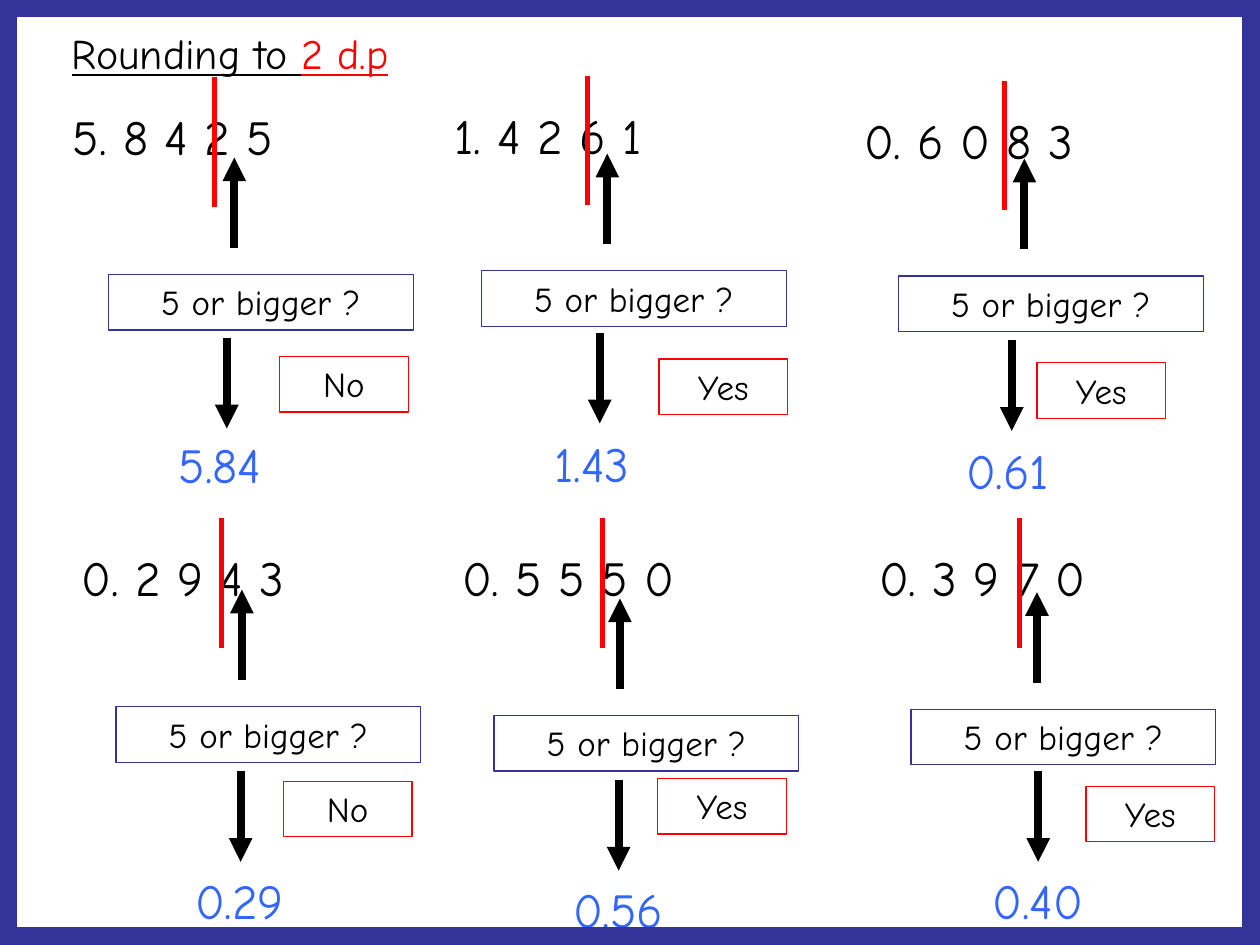
import dataclasses

import lxml.etree
import pptx
import pptx.dml.color
import pptx.enum.shapes
import pptx.enum.text
import pptx.oxml.ns
import pptx.util
from pptx.util import Inches

FONT = "Comic Neue"
BLACK, RED, BLUE, NAVY = "000000", "FF0000", "3366FF", "333399"
Point = tuple[float, float]
Run = tuple[str, str]


@dataclasses.dataclass
class Example:
    digits: str
    digits_at: Point
    cut_x: float
    question_at: Point
    verdict: str
    verdict_at: Point
    answer: str
    answer_at: Point
    down_from: Point


EXAMPLES = [
    Example("5. 8 4 2 5", (0.48, 0.8), 1.7, (0.86, 2.18),
            "No", (2.22, 2.83), "5.84", (1.32, 3.4), (1.8, 2.68)),
    Example("1. 4 2 6 1", (3.51, 0.79), 4.66, (3.82, 2.15),
            "Yes", (5.23, 2.85), "1.43", (4.3, 3.39), (4.76, 2.64)),
    Example("0. 6 0 8 3", (6.76, 0.83), 7.97, (7.13, 2.19),
            "Yes", (8.23, 2.88), "0.61", (7.57, 3.45), (8.03, 2.7)),
    Example("0. 2 9 4 3", (0.55, 4.3), 1.76, (0.92, 5.61),
            "No", (2.25, 6.2), "0.29", (1.45, 6.86), (1.91, 6.12)),
    Example("0. 5 5 5 0", (3.57, 4.3), 4.78, (3.92, 5.68),
            "Yes", (5.22, 6.18), "0.56", (4.45, 6.93), (4.91, 6.19)),
    Example("0. 3 9 7 0", (6.88, 4.3), 8.09, (7.23, 5.63),
            "Yes", (8.62, 6.24), "0.40", (7.78, 6.86), (8.24, 6.12)),
]


def rgb(color: str) -> pptx.dml.color.RGBColor:
    return pptx.dml.color.RGBColor.from_string(color)


def write(sp, runs: list[Run], size: float, underline: bool = False) -> None:
    tf = sp.text_frame
    tf.word_wrap = True
    tf.vertical_anchor = pptx.enum.text.MSO_ANCHOR.TOP
    p = tf.paragraphs[0]
    for text, color in runs:
        r = p.add_run()
        r.text = text
        r.font.name = FONT
        r.font.size = pptx.util.Pt(size)
        r.font.color.rgb = rgb(color)
        if underline:
            r.font.underline = True


def add_label(s, at: Point, width: float, height: float, runs: list[Run],
              size: float, underline: bool = False) -> None:
    sp = s.shapes.add_textbox(*map(Inches, (*at, width, height)))
    write(sp, runs, size, underline)


def add_frame(s, at: Point, width: float, height: float, color: str, weight: float):
    """Add an unfilled outlined rectangle."""
    sp = s.shapes.add_shape(pptx.enum.shapes.MSO_SHAPE.RECTANGLE,
                            *map(Inches, (*at, width, height)))
    sp.shadow.inherit = False
    sp.fill.background()
    sp.line.color.rgb = rgb(color)
    sp.line.width = pptx.util.Pt(weight)
    return sp


def add_box(s, at: Point, width: float, text: str, color: str) -> None:
    sp = add_frame(s, at, width, 0.44, color, 0.75)
    write(sp, [(text, BLACK)], 20)
    sp.text_frame.paragraphs[0].alignment = pptx.enum.text.PP_ALIGN.CENTER


def add_vertical(s, at: Point, length: float, color: str, weight: float,
                 arrow: bool = False) -> None:
    """Add a vertical line; a negative length points up."""
    x, y = at
    line = s.shapes.add_connector(pptx.enum.shapes.MSO_CONNECTOR.STRAIGHT,
                                  *map(Inches, (x, y, x, y + length)))
    line.line.color.rgb = rgb(color)
    line.line.width = pptx.util.Pt(weight)
    qn = pptx.oxml.ns.qn
    if arrow:
        lxml.etree.SubElement(line.line._get_or_add_ln(), qn("a:tailEnd"), type="triangle")
    lxml.etree.SubElement(line._element.spPr, qn("a:effectLst"))


def add_example(s, ex: Example) -> None:
    add_label(s, ex.digits_at, 2.5, 0.57, [(ex.digits, BLACK)], 28)
    add_box(s, ex.question_at, 2.42, "5 or bigger ?", NAVY)
    left, top = ex.question_at
    add_vertical(s, (left + 1, top - 0.21), -0.72, BLACK, 4.5, arrow=True)
    add_vertical(s, (ex.cut_x, ex.digits_at[1] - 0.19), 1.03, RED, 3)
    add_vertical(s, ex.down_from, 0.72, BLACK, 4.5, arrow=True)
    add_label(s, ex.answer_at, 1.1, 0.57, [(ex.answer, BLUE)], 28)
    add_box(s, ex.verdict_at, 1.02, ex.verdict, RED)


def main() -> None:
    prs = pptx.Presentation()
    prs.slide_width, prs.slide_height = Inches(10), Inches(7.5)
    s = prs.slides.add_slide(prs.slide_layouts[6])
    add_label(s, (0.47, 0.17), 2.92, 0.5,
              [("Rounding to ", BLACK), ("2 d.p", RED)], 24, underline=True)
    for ex in EXAMPLES:
        add_example(s, ex)
    add_frame(s, (0, 0), 10, 7.5, NAVY, 20)
    prs.save("out.pptx")


if __name__ == "__main__":
    main()
